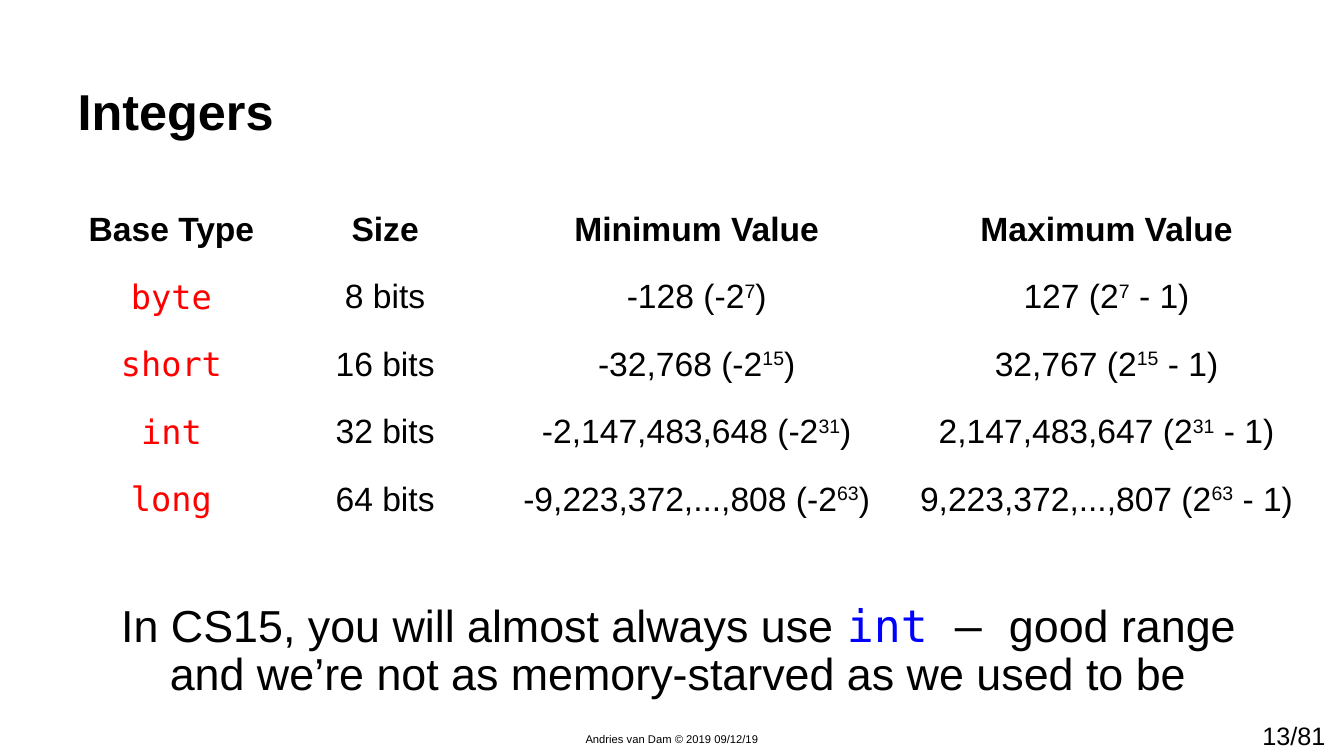
from pptx import Presentation
from pptx import util as u
from pptx.dml.color import RGBColor
from pptx.enum import text as t

COLORS = {"black": "000000", "type": "FF0000", "keyword": "0000FF"}
SANS, MONO = "Arial", "DejaVu Sans Mono"
INTEGER_TYPES = [
    # type, bits, minimum, maximum
    ("byte", 8, "-128", "127"),
    ("short", 16, "-32,768", "32,767"),
    ("int", 32, "-2,147,483,648", "2,147,483,647"),
    ("long", 64, "-9,223,372,...,808", "9,223,372,...,807"),
]


def write(paragraph, words, size, font=SANS, color="black", bold=False, raised=False):
    """Add one formatted run to a paragraph."""
    run = paragraph.add_run()
    run.text = words
    run.font.size = u.Pt(size)
    run.font.name = font
    run.font.bold = bold
    run.font.color.rgb = RGBColor.from_string(COLORS[color])
    if raised:
        run.font._element.set("baseline", "30000")


def set_margins(holder, inches):
    holder.margin_left = holder.margin_right = u.Inches(inches)
    holder.margin_top = holder.margin_bottom = u.Inches(inches)


def add_text_area(slide, left, top, width, height, margin):
    box = slide.shapes.add_textbox(*map(u.Inches, (left, top, width, height)))
    frame = box.text_frame
    frame.word_wrap = True
    set_margins(frame, margin)
    return frame.paragraphs[0]


def add_title(slide, left, top, width, height):
    title = slide.shapes.title
    title.left, title.top = u.Inches(left), u.Inches(top)
    title.width, title.height = u.Inches(width), u.Inches(height)
    frame = title.text_frame
    frame.auto_size = t.MSO_AUTO_SIZE.NONE
    frame.vertical_anchor = t.MSO_ANCHOR.BOTTOM
    set_margins(frame, 0.1)
    heading = frame.paragraphs[0]
    heading.alignment = t.PP_ALIGN.LEFT
    heading.line_spacing = 0.9
    write(heading, "Integers", 36, bold=True)


def add_type_table(slide, left, top, column_widths, row_height):
    row_count = len(INTEGER_TYPES) + 1
    table = slide.shapes.add_table(
        row_count, len(column_widths), u.Inches(left), u.Inches(top),
        u.Inches(sum(column_widths)), u.Inches(row_height * row_count)).table
    table.first_row = table.horz_banding = False
    for column, width in zip(table.columns, column_widths):
        column.width = u.Inches(width)
    for row in table.rows:
        row.height = u.Inches(row_height)
    for cell in table.iter_cells():
        cell.fill.background()
        set_margins(cell, 0.13)
        cell.text_frame.paragraphs[0].alignment = t.PP_ALIGN.CENTER

    def entry(row, column):
        return table.cell(row, column).text_frame.paragraphs[0]

    # Header row
    for column, label in enumerate(("Base Type", "Size", "Minimum Value", "Maximum Value")):
        write(entry(0, column), label, 24, bold=True)

    # One row for each integer type
    for row, (name, bits, minimum, maximum) in enumerate(INTEGER_TYPES, 1):
        write(entry(row, 0), name, 24, font=MONO, color="type")
        write(entry(row, 1), f"{bits} bits", 24)
        limits = ((f"{minimum} (-2", ")"), (f"{maximum} (2", " - 1)"))
        for column, (base, ending) in enumerate(limits, 2):
            write(entry(row, column), base, 24)
            write(entry(row, column), str(bits - 1), 24, raised=True)
            write(entry(row, column), ending, 24)


def add_advice(slide, left, top, width, height):
    advice = add_text_area(slide, left, top, width, height, 0.13)
    advice.alignment = t.PP_ALIGN.CENTER
    advice.line_spacing = 0.9
    write(advice, "In CS15, you will almost always use ", 32)
    write(advice, "int ", 32, font=MONO, color="keyword")
    write(advice, "– ", 32, font=MONO)
    write(advice, "good range and we’re not as memory-starved as we used to be", 32)


def add_footer(slide, top):
    credit = add_text_area(slide, 5.58, top + 0.12, 2.17, 0.24, 0.05)
    credit.alignment = t.PP_ALIGN.CENTER
    write(credit, "Andries van Dam © 2019 09/12/19", 8)
    page = add_text_area(slide, 12.47, top, 0.86, 0.4, 0.05)
    write(page, "13/81", 18)


def main():
    deck = Presentation()
    deck.slide_width, deck.slide_height = u.Inches(13.33), u.Inches(7.5)
    slide = deck.slides.add_slide(deck.slide_layouts[5])
    add_footer(slide, 7.1)
    add_type_table(slide, 0.65, 1.96, (2.1, 2.14, 4.04, 4.09), 0.67)
    add_advice(slide, 0.69, 5.86, 12.08, 1.27)
    add_title(slide, 0.67, 0.25, 12, 1.25)
    deck.save("out.pptx")


if __name__ == "__main__":
    main()
